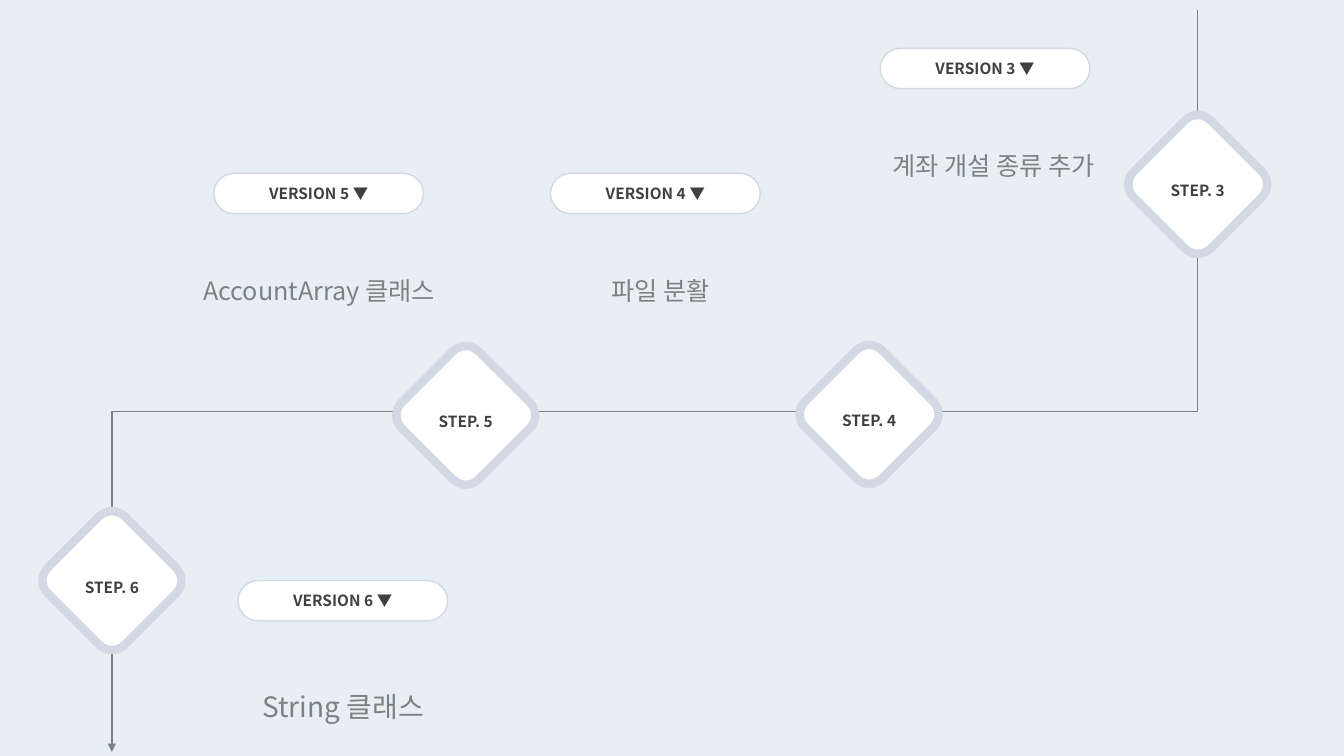
import pptx
import pptx.util
import pptx.dml.color
import pptx.enum.shapes
import pptx.enum.text
import pptx.oxml.ns
import pptx.oxml.xmlchemy
from dataclasses import dataclass

Inches = pptx.util.Inches
Pt = pptx.util.Pt
SHAPE = pptx.enum.shapes.MSO_SHAPE
qn = pptx.oxml.ns.qn
new_element = pptx.oxml.xmlchemy.OxmlElement


@dataclass(frozen=True)
class Theme:
    background: str = "E8EFF4"
    white: str = "FFFFFF"
    border: str = "D2D8E4"
    route: str = "808080"
    dark: str = "404040"
    grey: str = "808080"
    font: str = "Noto Sans CJK KR"
    label: int = 11
    body: int = 18
    body_large: int = 20


THEME = Theme()
DIAMOND = 1.08
PILL_W, PILL_H = 2.08, 0.4

# Step name, then left and top of the marker
STEPS = [
    ("STEP. 3", 11.34, 1.29),
    ("STEP. 4", 8.08, 3.57),
    ("STEP. 5", 4.08, 3.58),
    ("STEP. 6", 0.57, 5.22),
]

# Version name, pill left and top, description, its box and its size
VERSIONS = [
    ("VERSION 3", 8.73, 0.48, "계좌 개설 종류 추가", (8.56, 0.99, 2.59, 0.86), THEME.body),
    ("VERSION 4", 5.46, 1.72, "파일 분활", (5.26, 2.23, 2.59, 0.72), THEME.body),
    ("VERSION 5", 2.12, 1.72, "AccountArray 클래스", (1.87, 2.23, 2.59, 0.72), THEME.body),
    ("VERSION 6", 2.36, 5.76, "String 클래스", (2.26, 6.29, 2.29, 0.94), THEME.body_large),
]


def rgb(value):
    return pptx.dml.color.RGBColor.from_string(value)


def add_run(p, text, size, color, bold=False):
    r = p.add_run()
    r.text = text
    for name, value in {"name": THEME.font, "size": Pt(size), "bold": bold}.items():
        setattr(r.font, name, value)
    r.font.color.rgb = rgb(color)
    # Korean glyphs take the East Asian font
    ea = new_element("a:ea")
    ea.set("typeface", THEME.font)
    r.font._element.find(qn("a:latin")).addnext(ea)


def add_text(shapes, box, text, size, color, spacing, bold=False, wrap=True):
    tf = shapes.add_textbox(*map(Inches, box)).text_frame
    tf.word_wrap = wrap
    tf.auto_size = pptx.enum.text.MSO_AUTO_SIZE.SHAPE_TO_FIT_TEXT
    p = tf.paragraphs[0]
    p.alignment = pptx.enum.text.PP_ALIGN.CENTER
    p.line_spacing = spacing
    add_run(p, text, size, color, bold)


def add_rounded(shapes, box, line_width):
    sp = shapes.add_shape(SHAPE.ROUNDED_RECTANGLE, *map(Inches, box))
    sp.shadow.inherit = False
    sp.fill.solid()
    sp.fill.fore_color.rgb = rgb(THEME.white)
    sp.line.color.rgb = rgb(THEME.border)
    sp.line.width = Pt(line_width)
    return sp


def add_route(s, start, end, bend):
    """Vertical-horizontal-vertical arrow that turns at the height bend."""
    (x1, y1), (x2, y2) = start, end
    mid_x, mid_y = (x1 + x2) / 2, (y1 + y2) / 2
    half_w, half_h = (y2 - y1) / 2, (x1 - x2) / 2
    cxn = s.shapes.add_connector(
        pptx.enum.shapes.MSO_CONNECTOR.ELBOW,
        Inches(mid_x - half_w), Inches(mid_y - half_h),
        Inches(mid_x + half_w), Inches(mid_y + half_h))
    cxn.line.color.rgb = rgb(THEME.route)
    cxn.line.width = Pt(1)
    # Quarter turn, bend position, arrowhead and no shadow
    sp_pr = cxn._element.spPr
    sp_pr.find(qn("a:xfrm")).set("rot", "5400000")
    guide = new_element("a:gd")
    guide.set("name", "adj1")
    guide.set("fmla", f"val {round((bend - y1) / (y2 - y1) * 100000)}")
    sp_pr.find(qn("a:prstGeom")).get_or_add_avLst().append(guide)
    tail = new_element("a:tailEnd")
    tail.set("type", "triangle")
    sp_pr.find(qn("a:ln")).append(tail)
    sp_pr.append(new_element("a:effectLst"))


def add_step(s, name, x, y):
    sp = add_rounded(s.shapes, (x, y, DIAMOND, DIAMOND), 6)
    sp.rotation = 315
    add_text(s.shapes, (x + 0.17, y + 0.37, 0.74, 0.38), name,
             THEME.label, THEME.dark, 1.5, bold=True, wrap=False)


def add_version(s, name, x, y, description, box, size):
    shapes = s.shapes.add_group_shape().shapes
    add_text(shapes, box, description, size, THEME.grey, 2.5)
    # Pill
    sp = add_rounded(shapes, (x, y, PILL_W, PILL_H), 1)
    sp.adjustments[0] = 0.5
    tf = sp.text_frame
    tf.vertical_anchor = pptx.enum.text.MSO_ANCHOR.MIDDLE
    p = tf.paragraphs[0]
    p.alignment = pptx.enum.text.PP_ALIGN.CENTER
    add_run(p, name + " ", THEME.label, THEME.dark, bold=True)
    add_run(p, "▼", THEME.label, THEME.dark)


def main():
    prs = pptx.Presentation()
    prs.slide_width, prs.slide_height = Inches(13.33), Inches(7.5)
    s = prs.slides.add_slide(prs.slide_layouts[6])
    s.background.fill.solid()
    s.background.fill.fore_color.rgb = rgb(THEME.background)

    add_route(s, (11.88, 0.1), (1.11, 7.46), 4.08)
    for step in STEPS:
        add_step(s, *step)
    for version in VERSIONS:
        add_version(s, *version)
    prs.save("out.pptx")


if __name__ == "__main__":
    main()
